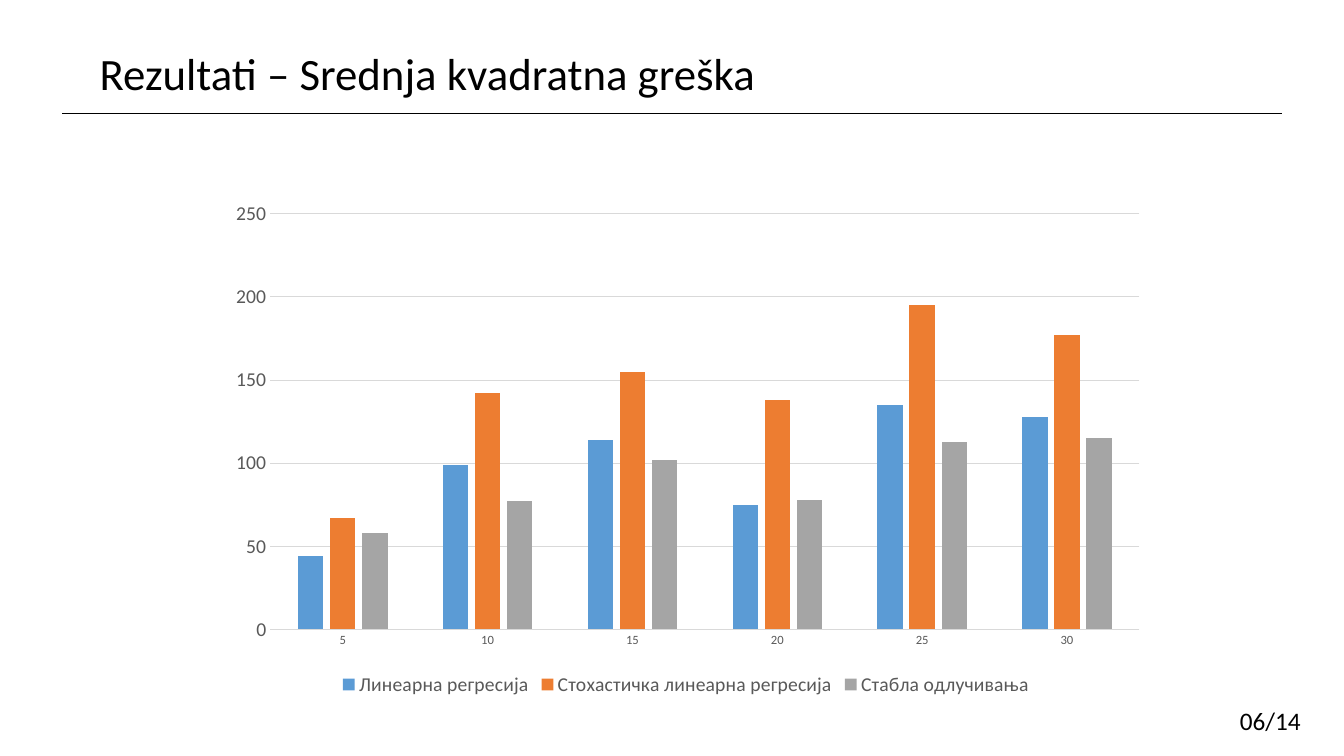
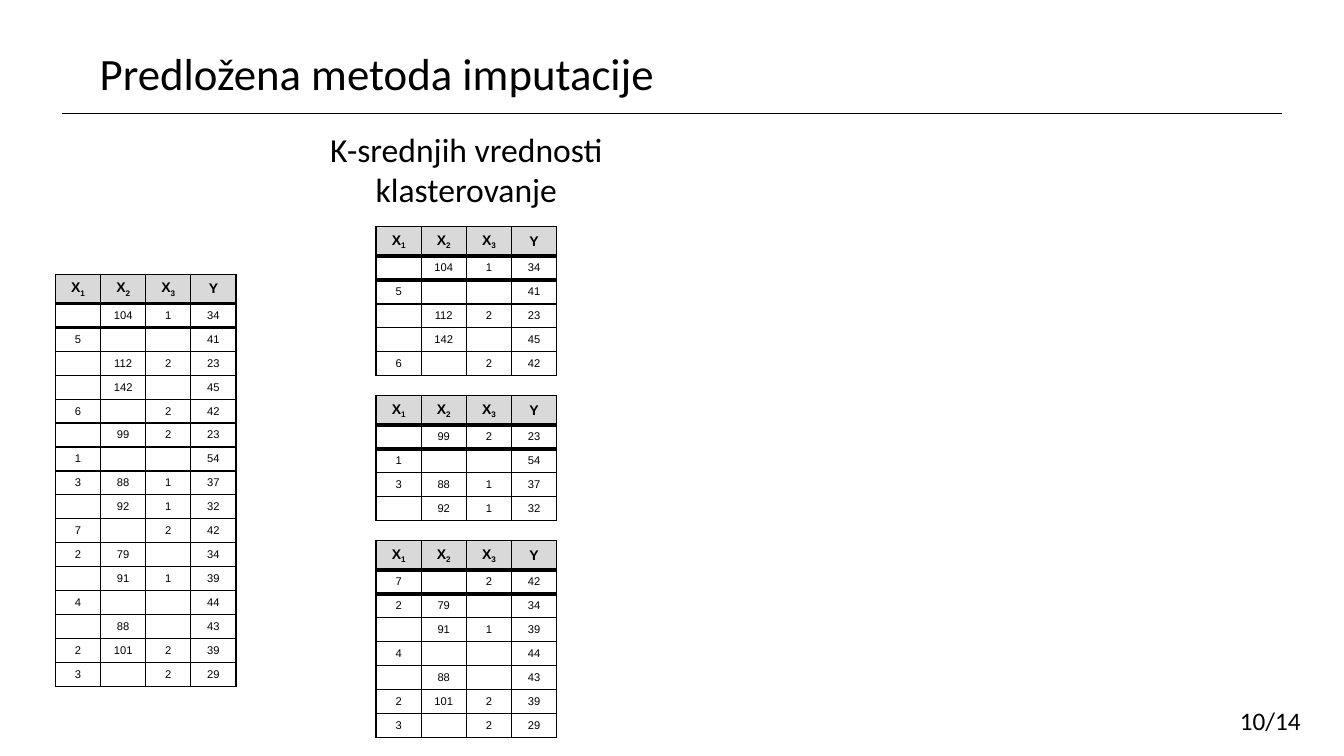
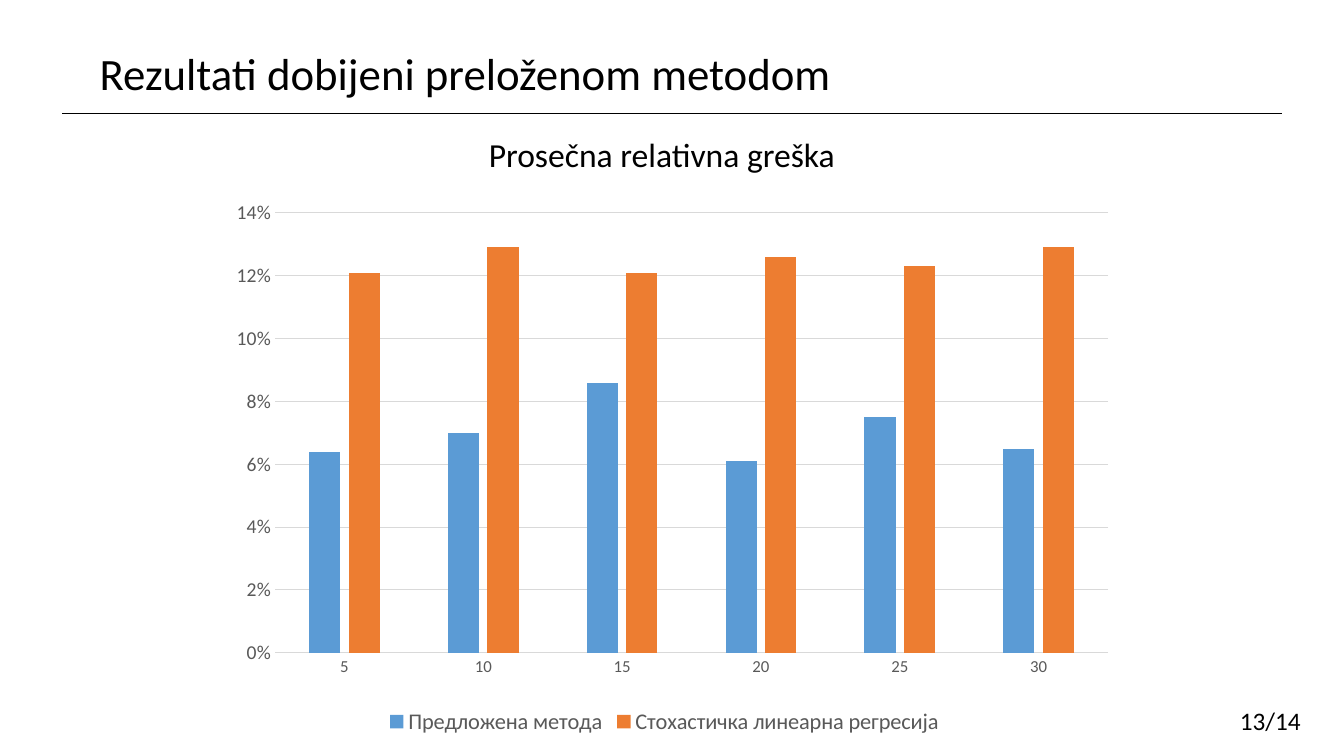
from dataclasses import dataclass

from lxml import etree
from pptx import Presentation
from pptx.chart.data import CategoryChartData
from pptx.dml.color import RGBColor
from pptx.enum.chart import XL_CHART_TYPE, XL_LEGEND_POSITION, XL_TICK_MARK
from pptx.enum.shapes import MSO_CONNECTOR
from pptx.enum.text import MSO_ANCHOR, PP_ALIGN
from pptx.oxml.ns import qn
from pptx.util import Emu, Inches, Pt

COLUMNS = XL_CHART_TYPE.COLUMN_CLUSTERED
LEGEND_BOTTOM = XL_LEGEND_POSITION.BOTTOM
NO_TICK = XL_TICK_MARK.NONE
STRAIGHT = MSO_CONNECTOR.STRAIGHT
MIDDLE = MSO_ANCHOR.MIDDLE
LEFT, CENTER = PP_ALIGN.LEFT, PP_ALIGN.CENTER

# Shared look
WIDTH, HEIGHT = Inches(13.33), Inches(7.5)
BLACK, LABEL_GREY, GRID_GREY, HEADER_GREY = "000000", "595959", "D9D9D9", "D9D9D9"
SERIES_COLORS = ("5B9BD5", "ED7D31", "A5A5A5")
BODY_FONT, TABLE_FONT = "Calibri", "Arial"
PAGE_COUNT = 14
MISSING_RATES = ("5", "10", "15", "20", "25", "30")

# Table grid, in percent of the slide's size
COLUMN_WIDTH, HEADER_HEIGHT, ROW_HEIGHT = 3.36, 3.83, 3.17
CLUSTER_GAP = 2.67
THIN, HEAVY = 1, 3


@dataclass(frozen=True)
class Box:
    """A place in percent of the slide's width and height."""
    left: float
    top: float
    width: float
    height: float

    def emu(self) -> tuple[Emu, Emu, Emu, Emu]:
        return across(self.left), down(self.top), across(self.width), down(self.height)


@dataclass(frozen=True)
class ErrorChart:
    box: Box
    plot: tuple[float, float, float, float]
    series: dict[str, tuple[float, ...]]
    maximum: float
    step: float
    number_format: str
    category_size: int
    legend_size: int


TITLE_BOX = Box(6.68, 5.33, 87.85, 8.53)
PAGE_BOX = Box(91.52, 92.67, 7.8, 5.33)
RULE = Box(4.65, 14.93, 90.77, 0)

# Content
SQUARED_ERROR = ErrorChart(
    box=Box(15.9, 25.6, 70.29, 67.07),
    plot=(0.06, 0.04, 0.92, 0.82),
    series={
        "Линеарна регресија": (44, 99, 114, 75, 135, 128),
        "Стохастичка линеарна регресија": (67, 142, 155, 138, 195, 177),
        "Стабла одлучивања": (58, 77, 102, 78, 113, 115),
    },
    maximum=250, step=50, number_format="General", category_size=9, legend_size=14,
)
RELATIVE_ERROR = ErrorChart(
    box=Box(15.75, 26, 67.37, 71.87),
    plot=(0.07, 0.03, 0.92, 0.81),
    series={
        "Предложена метода": (0.064, 0.07, 0.086, 0.061, 0.075, 0.065),
        "Стохастичка линеарна регресија": (0.121, 0.129, 0.121, 0.126, 0.123, 0.129),
    },
    maximum=0.14, step=0.02, number_format="0%", category_size=12, legend_size=16,
)
HEADINGS = (("X", "1"), ("X", "2"), ("X", "3"), ("Y", ""))
SAMPLES = (
    ("", "104", "1", "34"),
    ("5", "", "", "41"),
    ("", "112", "2", "23"),
    ("", "142", "", "45"),
    ("6", "", "2", "42"),
    ("", "99", "2", "23"),
    ("1", "", "", "54"),
    ("3", "88", "1", "37"),
    ("", "92", "1", "32"),
    ("7", "", "2", "42"),
    ("2", "79", "", "34"),
    ("", "91", "1", "39"),
    ("4", "", "", "44"),
    ("", "88", "", "43"),
    ("2", "101", "2", "39"),
    ("3", "", "2", "29"),
)
CLUSTERS = (SAMPLES[:5], SAMPLES[5:9], SAMPLES[9:])


def across(percent: float) -> Emu:
    return Emu(round(WIDTH * percent / 100))


def down(percent: float) -> Emu:
    return Emu(round(HEIGHT * percent / 100))


def color(value: str) -> RGBColor:
    return RGBColor.from_string(value)


def style_font(font, size: float, value: str = BLACK, name: str = BODY_FONT,
               bold: bool = False) -> None:
    font.size, font.name, font.bold = Pt(size), name, bold
    font.color.rgb = color(value)


def add_text(slide, box: Box, lines: tuple[str, ...], size: float, align=LEFT) -> None:
    frame = slide.shapes.add_textbox(*box.emu()).text_frame
    frame.word_wrap = True
    for index, line in enumerate(lines):
        paragraph = frame.add_paragraph() if index else frame.paragraphs[0]
        paragraph.alignment = align
        run = paragraph.add_run()
        run.text = line
        style_font(run.font, size)


def add_page(deck, title: str, number: int):
    """Blank slide with title, rule and page number."""
    slide = deck.slides.add_slide(deck.slide_layouts[6])
    left, top, width, _ = RULE.emu()
    rule = slide.shapes.add_connector(STRAIGHT, left, top, left + width, top)
    rule.line.color.rgb = color(BLACK)
    rule.line.width = Pt(0.5)
    etree.SubElement(rule._element.spPr, qn("a:effectLst"))
    add_text(slide, TITLE_BOX, (title,), 32)
    add_text(slide, PAGE_BOX, (f"{number:02}/{PAGE_COUNT}",), 18)
    return slide


# Charts
def place_plot(chart, shares: tuple[float, float, float, float]) -> None:
    area = chart._chartSpace.chart.plotArea
    for old in area.findall(qn("c:layout")):
        area.remove(old)
    layout = etree.Element(qn("c:layout"))
    area.insert(0, layout)
    manual = etree.SubElement(layout, qn("c:manualLayout"))
    settings = [("layoutTarget", "inner"), ("xMode", "edge"), ("yMode", "edge")]
    settings += zip("xywh", map(str, shares))
    for tag, value in settings:
        etree.SubElement(manual, qn(f"c:{tag}"), val=value)


def add_error_chart(slide, content: ErrorChart) -> None:
    data = CategoryChartData(number_format=content.number_format)
    data.categories = MISSING_RATES
    for name, values in content.series.items():
        data.add_series(name, values)
    chart = slide.shapes.add_chart(COLUMNS, *content.box.emu(), data).chart
    chart.has_title = False
    style_font(chart.font, 10)
    place_plot(chart, content.plot)

    plot = chart.plots[0]
    plot.gap_width, plot.overlap, plot.vary_by_categories = 219, -27, False
    for series, fill in zip(plot.series, SERIES_COLORS):
        series.format.fill.solid()
        series.format.fill.fore_color.rgb = color(fill)

    rates, errors = chart.category_axis, chart.value_axis
    for axis, size in ((rates, content.category_size), (errors, 14)):
        axis.major_tick_mark = axis.minor_tick_mark = NO_TICK
        style_font(axis.tick_labels.font, size, LABEL_GREY)
    errors.minimum_scale, errors.maximum_scale = 0, content.maximum
    errors.major_unit = content.step
    errors.tick_labels.number_format = content.number_format
    errors.tick_labels.number_format_is_linked = False
    errors.format.line.fill.background()
    for line in (rates.format.line, errors.major_gridlines.format.line):
        line.color.rgb = color(GRID_GREY)
        line.width = Pt(0.75)

    chart.has_legend = True
    chart.legend.position = LEGEND_BOTTOM
    chart.legend.include_in_layout = False
    style_font(chart.legend.font, content.legend_size, LABEL_GREY)


# Tables
def set_borders(cell, top: float, bottom: float) -> None:
    properties = cell._tc.get_or_add_tcPr()
    for side, points in (("L", THIN), ("R", THIN), ("T", top), ("B", bottom)):
        line = etree.SubElement(properties, qn(f"a:ln{side}"), w=str(Pt(points)))
        fill = etree.SubElement(line, qn("a:solidFill"))
        etree.SubElement(fill, qn("a:srgbClr"), val=BLACK)


def fill_cell(cell, text: str, subscript: str, size: float, bold: bool) -> None:
    cell.vertical_anchor = MIDDLE
    paragraph = cell.text_frame.paragraphs[0]
    paragraph.alignment = CENTER
    for part, baseline in ((text, "0"), (subscript, "-25000")):
        if part:
            run = paragraph.add_run()
            run.text = part
            style_font(run.font, size, name=TABLE_FONT, bold=bold)
            run.font._element.set("baseline", baseline)
    if not text:
        etree.SubElement(paragraph._p, qn("a:endParaRPr"), sz=str(size * 100))


def table_height(samples: tuple) -> float:
    return HEADER_HEIGHT + ROW_HEIGHT * len(samples)


def add_samples(slide, left: float, top: float, samples: tuple) -> None:
    box = Box(left, top, COLUMN_WIDTH * len(HEADINGS), table_height(samples))
    table = slide.shapes.add_table(len(samples) + 1, len(HEADINGS), *box.emu()).table
    table.first_row = table.horz_banding = False
    for column in table.columns:
        column.width = across(COLUMN_WIDTH)
    rows = (HEADINGS,) + tuple(tuple((text, "") for text in row) for row in samples)
    for r, row in enumerate(rows):
        is_header = r == 0
        table.rows[r].height = down(HEADER_HEIGHT if is_header else ROW_HEIGHT)
        for c, (text, subscript) in enumerate(row):
            cell = table.cell(r, c)
            # Heavy rules lie under the header and under the first sample
            set_borders(cell, HEAVY if r in (1, 2) else THIN, HEAVY if r < 2 else THIN)
            if is_header:
                cell.fill.solid()
                cell.fill.fore_color.rgb = color(HEADER_GREY)
            else:
                cell.fill.background()
            fill_cell(cell, text, subscript, 10 if is_header else 8, is_header)


def main() -> None:
    deck = Presentation()
    deck.slide_width, deck.slide_height = WIDTH, HEIGHT

    # Mean squared error
    squared = add_page(deck, "Rezultati – Srednja kvadratna greška", 6)
    add_error_chart(squared, SQUARED_ERROR)

    # Samples split into clusters
    method = add_page(deck, "Predložena metoda imputacije", 10)
    add_samples(method, 4.13, 36.27, SAMPLES)
    top = 30.0
    for cluster in CLUSTERS:
        add_samples(method, 27.98, top, cluster)
        top += table_height(cluster) + CLUSTER_GAP
    add_text(method, Box(23.63, 16.4, 22.13, 12.13),
             ("K-srednjih vrednosti", "klasterovanje"), 24, CENTER)

    # Mean relative error
    relative = add_page(deck, "Rezultati dobijeni preloženom metodom", 13)
    add_error_chart(relative, RELATIVE_ERROR)
    add_text(relative, Box(35.63, 17.07, 27.68, 6.67), ("Prosečna relativna greška",), 24)

    deck.save("out.pptx")


if __name__ == "__main__":
    main()
